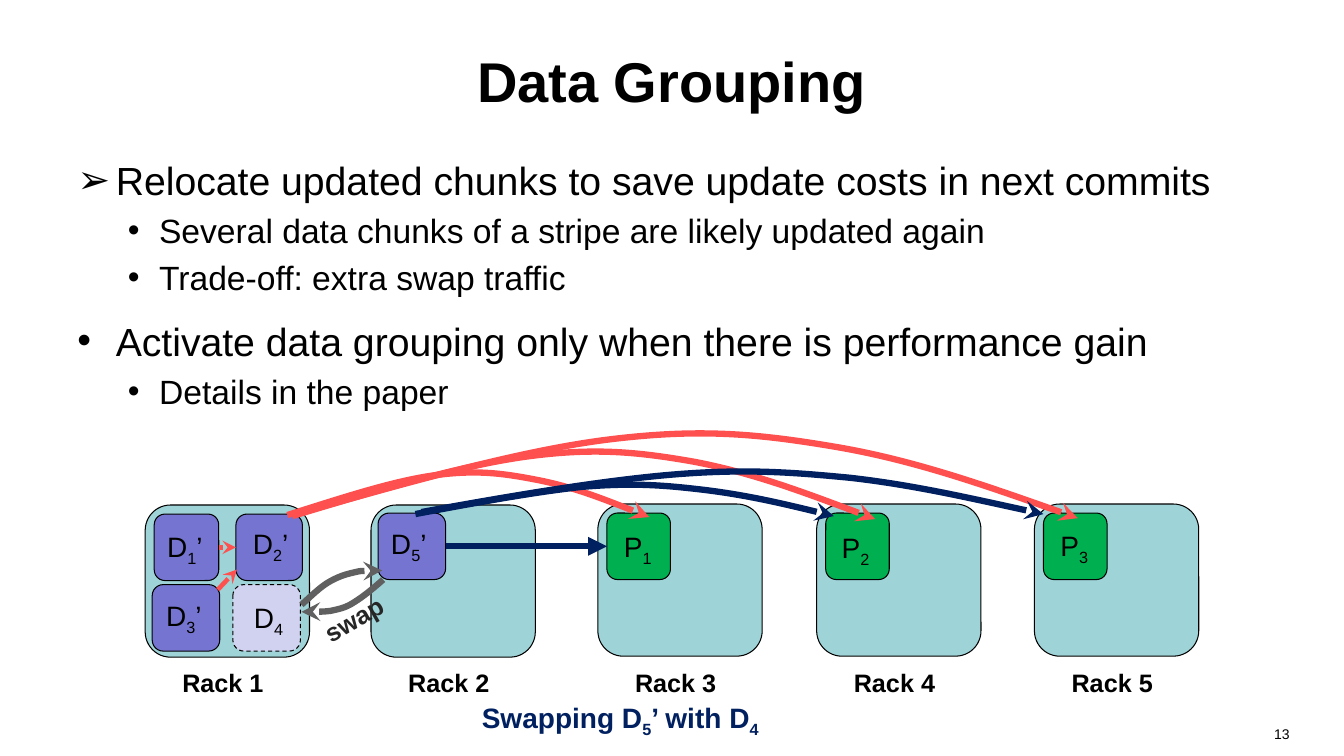
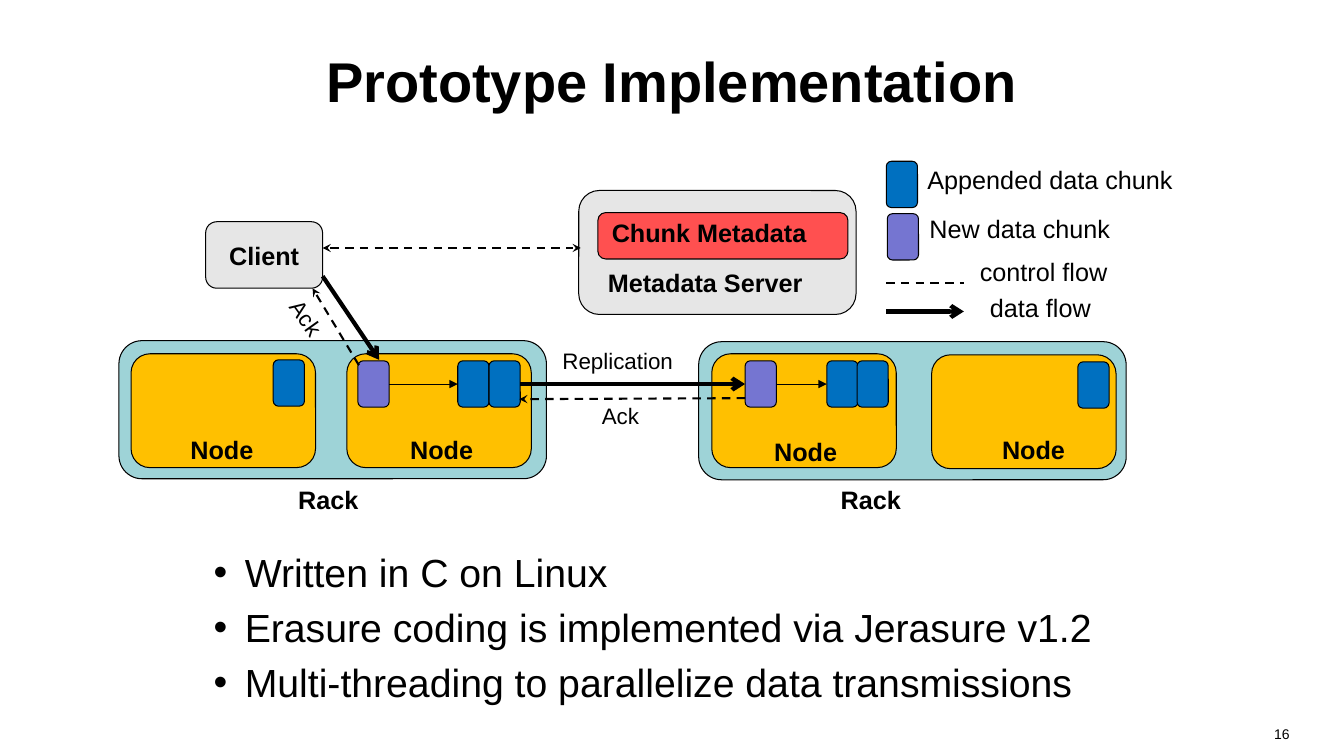
from lxml.etree import SubElement
from pptx import Presentation
from pptx.dml.color import RGBColor
from pptx.enum.dml import MSO_LINE
from pptx.enum.shapes import MSO_CONNECTOR, MSO_SHAPE
from pptx.enum.text import MSO_ANCHOR, PP_ALIGN
from pptx.oxml.ns import qn
from pptx.util import Inches, Pt

FONT = "Arial"
COLORS = {
    "black": "000000", "rack": "9ED3D7", "updated": "7575D1", "swapped": "D1D1F0",
    "parity": "00B050", "red": "FF5050", "navy": "002060", "swap": "606060",
    "swap text": "262626", "server": "E6E6E6", "node": "FFC000", "appended": "0070C0",
}

GROUPING_POINTS = [
    (0, "➢", 28, "Relocate updated chunks to save update costs in next commits"),
    (1, "•", 24, "Several data chunks of a stripe are likely updated again"),
    (1, "•", 24, "Trade-off: extra swap traffic"),
    (0, "•", 28, "Activate data grouping only when there is performance gain"),
    (1, "•", 24, "Details in the paper"),
]
GROUPING_RACKS = [(1.44, 5.01), (3.68, 5.01), (5.93, 5), (8.1, 5), (10.26, 5)]
GROUPED_CHUNKS = [
    ("D_1’", 1.53, 5.1, 0.64, "updated", 1.56, 5.2),
    ("D_2’", 2.34, 5.1, 0.66, "updated", 2.41, 5.17),
    ("D_3’", 1.51, 5.8, 0.67, "updated", 1.55, 5.89),
    ("D_4", 2.31, 5.8, 0.67, "swapped", 2.42, 5.91),
    ("D_5’", 3.75, 5.09, 0.67, "updated", 3.78, 5.17),
    ("P_1", 6.02, 5.09, 0.63, "parity", 6.09, 5.2),
    ("P_2", 8.19, 5.09, 0.63, "parity", 8.25, 5.21),
    ("P_3", 10.35, 5.09, 0.63, "parity", 10.42, 5.19),
]
TRANSFER_CURVES = [
    ("red", [(2.85, 5.11), (3.36, 4.95), (3.87, 4.78), (4.28, 4.72), (4.7, 4.66),
             (4.96, 4.69), (5.32, 4.76), (5.68, 4.83), (6.06, 4.98), (6.44, 5.13)]),
    ("red", [(2.9, 5.12), (3.73, 4.87), (4.56, 4.62), (5.22, 4.53), (5.88, 4.44),
             (6.31, 4.48), (6.88, 4.58), (7.46, 4.69), (8.07, 4.92), (8.68, 5.15)]),
    ("red", [(2.93, 5.1), (4.04, 4.79), (5.15, 4.47), (6.04, 4.36), (6.93, 4.25),
             (7.5, 4.3), (8.27, 4.43), (9.05, 4.56), (9.87, 4.85), (10.69, 5.14)]),
    ("navy", [(4.12, 5.1), (4.71, 4.99), (5.31, 4.88), (5.78, 4.83), (6.26, 4.79),
              (6.56, 4.81), (6.98, 4.86), (7.39, 4.91), (7.83, 5.01), (8.27, 5.12)]),
    ("navy", [(4.18, 5.08), (5.06, 4.92), (5.95, 4.77), (6.65, 4.71), (7.36, 4.65),
              (7.81, 4.68), (8.43, 4.74), (9.05, 4.81), (9.7, 4.96), (10.35, 5.1)]),
    ("swap", [(2.99, 6), (3.09, 5.91), (3.18, 5.82), (3.27, 5.77), (3.36, 5.72),
              (3.42, 5.7), (3.51, 5.68), (3.59, 5.66), (3.69, 5.66), (3.79, 5.66)]),
    ("swap", [(3.8, 5.75), (3.7, 5.84), (3.6, 5.92), (3.52, 5.97), (3.43, 6.03),
              (3.37, 6.04), (3.28, 6.06), (3.19, 6.07), (3.09, 6.07), (2.99, 6.07)]),
]

PROTOTYPE_POINTS = [
    (1, "•", 28, "Written in C on Linux"),
    (1, "•", 28, "Erasure coding is implemented via Jerasure v1.2"),
    (1, "•", 28, "Multi-threading to parallelize data transmissions"),
]
PROTOTYPE_RACKS = [(1.18, 3.38, 2.86), (6.93, 3.39, 8.24)]
NODES = [
    (1.3, 3.51, 1.79, 4.26), (3.44, 3.51, 3.97, 4.26),
    (7.06, 3.51, 7.58, 4.28), (9.24, 3.52, 9.84, 4.26),
]
STORED_CHUNKS = {
    "first": (2.71, 3.57, "appended"),
    "sender new": (3.55, 3.58, "updated"),
    "sender old": (4.54, 3.58, "appended"),
    "sender last": (4.85, 3.58, "appended"),
    "receiver new": (7.39, 3.58, "updated"),
    "receiver old": (8.2, 3.58, "appended"),
    "receiver last": (8.5, 3.58, "appended"),
    "fourth": (10.69, 3.59, "appended"),
    "appended key": (8.79, 1.6, "appended"),
    "new key": (8.8, 2.12, "updated"),
}
CONTROL_FLOWS = [
    ((3.1, 2.86), (3.57, 3.64), "stealth", None),
    ((3.2, 2.46), (5.76, 2.46), "stealth", "stealth"),
    ((8.79, 2.81), (9.56, 2.81), None, None),
    ((7.39, 3.95), (5.15, 3.96), None, "stealth"),
]
DATA_FLOWS = [((8.79, 3.09), (9.56, 3.09)), ((3.2, 2.74), (3.76, 3.57))]
FLOW_LABELS = [
    ("control flow", 9.62, 2.49, 1.66, 18, 0),
    ("data flow", 9.72, 2.85, 1.3, 18, 0),
    ("Appended data chunk", 9.1, 1.58, 2.96, 18, 0),
    ("New data chunk", 9.12, 2.07, 2.96, 18, 0),
    ("Replication", 5.48, 3.39, 1.52, 16, 0),
    ("Ack", 5.87, 3.94, 0.69, 16, 0),
    ("Ack", 2.73, 3.02, 0.69, 16, 54.4),
]


def rgb(color):
    return RGBColor.from_string(COLORS[color])


def write(paragraph, text, size, color="black", bold=False):
    first, *rest = text.split("_")
    pieces = [(first, False)]
    for part in rest:
        pieces += [(part[0], True), (part[1:], False)]
    for piece, subscript in pieces:
        if piece:
            run = paragraph.add_run()
            run.text = piece
            run.font.name, run.font.size, run.font.bold = FONT, Pt(size), bold
            run.font.color.rgb = rgb(color)
            if subscript:
                run._r.get_or_add_rPr().set("baseline", "-25000")


def add_label(slide, text, left, top, width, size=18, bold=False, color="black",
              rotation=0, align=PP_ALIGN.LEFT):
    height = 0.1 + size / 60
    label = slide.shapes.add_textbox(Inches(left), Inches(top), Inches(width), Inches(height))
    label.rotation = rotation
    label.text_frame.word_wrap = True
    paragraph = label.text_frame.paragraphs[0]
    paragraph.alignment = align
    write(paragraph, text, size, color, bold)


def add_points(slide, points, left, top, width, height):
    frame = slide.shapes.add_textbox(
        Inches(left), Inches(top), Inches(width), Inches(height)).text_frame
    frame.word_wrap = True
    for number, (level, bullet, size, text) in enumerate(points):
        paragraph = frame.add_paragraph() if number else frame.paragraphs[0]
        margin, hanging, gap = [(0.38, 0.38, 0.5), (0.81, 0.31, 0.2)][level]
        properties = paragraph._p.get_or_add_pPr()
        properties.set("marL", str(Inches(margin)))
        properties.set("indent", str(-Inches(hanging)))
        SubElement(properties, qn("a:buFont")).set("typeface", FONT)
        SubElement(properties, qn("a:buChar")).set("char", bullet)
        paragraph.level = level
        paragraph.space_before = Pt(gap * size if number else 0)
        write(paragraph, text, size)


def add_box(slide, left, top, width, height, fill, text=""):
    box = slide.shapes.add_shape(
        MSO_SHAPE.ROUNDED_RECTANGLE, Inches(left), Inches(top), Inches(width), Inches(height))
    box.shadow.inherit = False
    box.fill.solid()
    box.fill.fore_color.rgb = rgb(fill)
    box.line.color.rgb = rgb("black")
    box.line.width = Pt(0.75)
    if text:
        box.text_frame.vertical_anchor = MSO_ANCHOR.MIDDLE
        box.text_frame.paragraphs[0].alignment = PP_ALIGN.CENTER
        write(box.text_frame.paragraphs[0], text, 18, bold=True)
    return box


def style_line(line, color, width, head=None, tail=None, dashed=False):
    line.color.rgb = rgb(color)
    line.width = Pt(width)
    if dashed:
        line.dash_style = MSO_LINE.DASH
    for tag, kind in (("a:headEnd", head), ("a:tailEnd", tail)):
        if kind:
            SubElement(line._get_or_add_ln(), qn(tag)).set("type", kind)


def add_flow(slide, start, end, color, width, head=None, tail=None, dashed=False):
    flow = slide.shapes.add_connector(
        MSO_CONNECTOR.STRAIGHT, *(Inches(value) for value in start + end))
    style_line(flow.line, color, width, head, tail, dashed)
    SubElement(flow._element.spPr, qn("a:effectLst"))
    return flow


def join(slide, source, target, color, width, tail):
    flow = add_flow(slide, (0, 0), (1, 1), color, width, tail=tail)
    flow.begin_connect(source, 3)
    flow.end_connect(target, 1)


def add_curve(slide, points, color):
    start, *controls = [(Inches(x), Inches(y)) for x, y in points]
    builder = slide.shapes.build_freeform(*start)
    builder.add_line_segments(controls, close=False)
    curve = builder.convert_to_shape()
    segments = list(curve._element.iter(qn("a:lnTo")))
    outline = segments[0].getparent()
    for first in range(0, len(segments), 3):
        bezier = SubElement(outline, qn("a:cubicBezTo"))
        for segment in segments[first:first + 3]:
            bezier.append(segment[0])
            outline.remove(segment)
    curve.shadow.inherit = False
    curve.fill.background()
    style_line(curve.line, color, 4.5, tail="stealth")


def new_slide(deck, title, number):
    slide = deck.slides.add_slide(deck.slide_layouts[5])
    heading = slide.shapes.title
    heading.left, heading.top = Inches(0.66), Inches(0.17)
    heading.width, heading.height = Inches(12), Inches(1.25)
    heading.text_frame.vertical_anchor = MSO_ANCHOR.MIDDLE
    heading.text_frame.paragraphs[0].alignment = PP_ALIGN.CENTER
    write(heading.text_frame.paragraphs[0], title, 40, bold=True)
    add_label(slide, number, 9.78, 7.15, 3.11, 10, align=PP_ALIGN.RIGHT)
    return slide


def build_grouping(deck):
    slide = new_slide(deck, "Data Grouping", "13")
    add_points(slide, GROUPING_POINTS, 0.67, 1.5, 12, 2.75)
    for number, (left, top) in enumerate(GROUPING_RACKS, 1):
        add_box(slide, left, top, 1.63, 1.51, "rack")
        add_label(slide, f"Rack {number}", left + 0.27, 6.57, 1.07, bold=True)
    chunks = {}
    for name, left, top, width, fill, label_left, label_top in GROUPED_CHUNKS:
        chunks[name] = add_box(slide, left, top, width, 0.66, fill)
        add_label(slide, name, label_left, label_top, 0.6, 20)
    chunks["D_4"].line.dash_style = MSO_LINE.DASH
    join(slide, chunks["D_1’"], chunks["D_2’"], "red", 3.25, "stealth")
    add_flow(slide, (2.16, 5.85), (2.35, 5.65), "red", 3.25, tail="stealth")
    for color, points in TRANSFER_CURVES:
        add_curve(slide, points, color)
    join(slide, chunks["D_5’"], chunks["P_1"], "navy", 4.5, "triangle")
    add_label(slide, "swap", 3.08, 5.88, 1.07, 18, True, "swap text", 330.2)
    add_label(slide, "Swapping D_5’ with D_4", 4.68, 6.9, 3.15, 20, True, "navy")


def build_prototype(deck):
    slide = new_slide(deck, "Prototype Implementation", "16")
    add_points(slide, PROTOTYPE_POINTS, 1.52, 5.39, 9.76, 1.82)
    for left, top, label_left in PROTOTYPE_RACKS:
        add_box(slide, left, top, 4.24, 1.37, "rack")
        add_label(slide, "Rack", label_left, 4.76, 1.07, bold=True)
    for left, top, label_left, label_top in NODES:
        add_box(slide, left, top, 1.83, 1.13, "node")
        add_label(slide, "Node", label_left, label_top, 0.96, bold=True)
    add_box(slide, 2.04, 2.2, 1.16, 0.66, "server", "Client")
    add_box(slide, 5.74, 1.89, 2.75, 1.23, "server")
    add_label(slide, "Metadata Server", 5.93, 2.6, 2.48, bold=True)
    add_box(slide, 5.93, 2.11, 2.48, 0.46, "red")
    add_label(slide, "Chunk Metadata", 5.97, 2.11, 2.36, bold=True)
    chunks = {name: add_box(slide, left, top, 0.31, 0.46, fill)
              for name, (left, top, fill) in STORED_CHUNKS.items()}
    for start, end, head, tail in CONTROL_FLOWS:
        add_flow(slide, start, end, "black", 1.5, head, tail, dashed=True)
    for start, end in DATA_FLOWS:
        add_flow(slide, start, end, "black", 3, tail="arrow")
    join(slide, chunks["sender last"], chunks["receiver new"], "black", 3, "arrow")
    for side in ("sender", "receiver"):
        join(slide, chunks[f"{side} new"], chunks[f"{side} old"], "black", 0.75, "triangle")
    for text, left, top, width, size, rotation in FLOW_LABELS:
        add_label(slide, text, left, top, width, size, rotation=rotation)


def main():
    deck = Presentation()
    deck.slide_width, deck.slide_height = Inches(13.33), Inches(7.5)
    build_grouping(deck)
    build_prototype(deck)
    deck.save("out.pptx")


if __name__ == "__main__":
    main()
